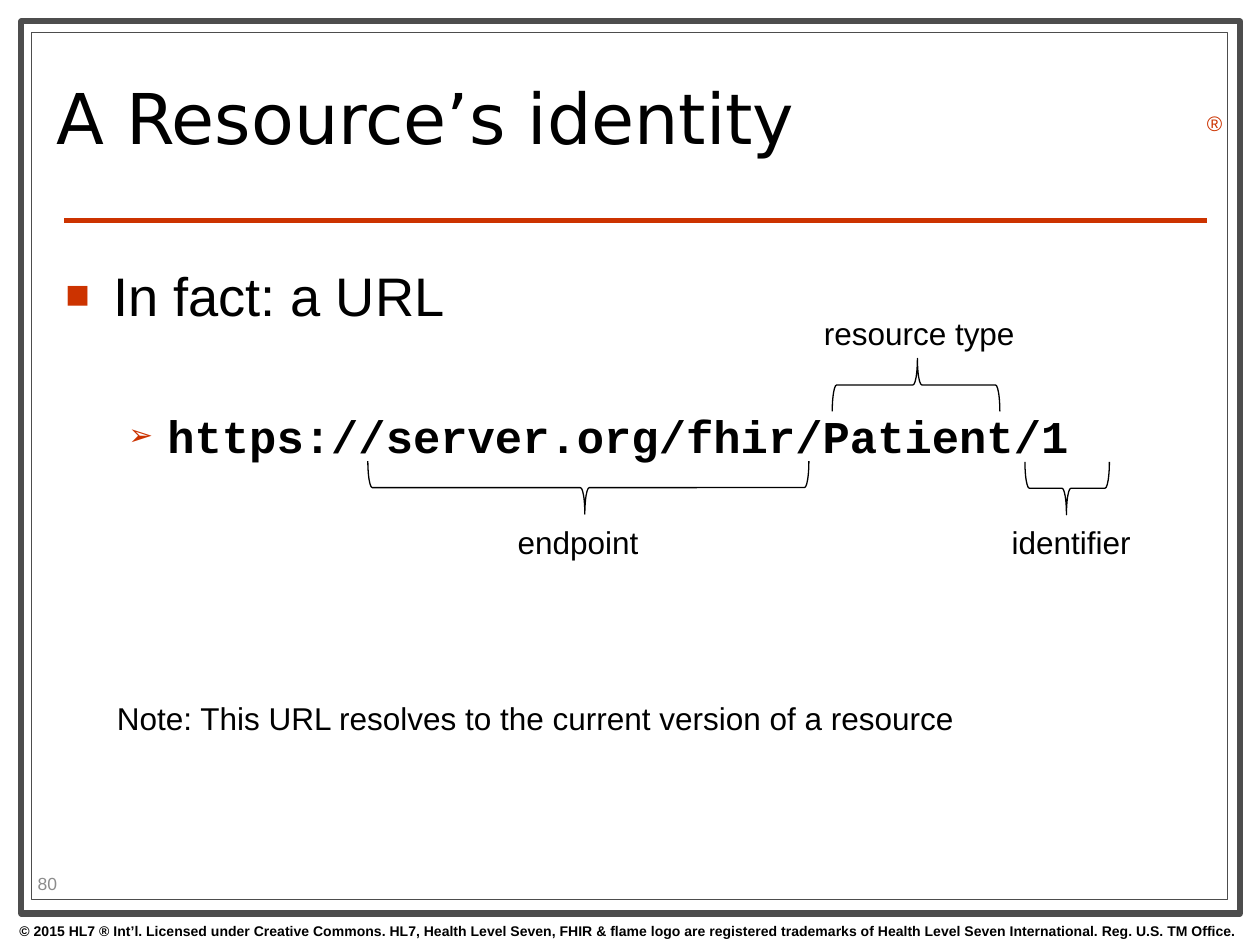
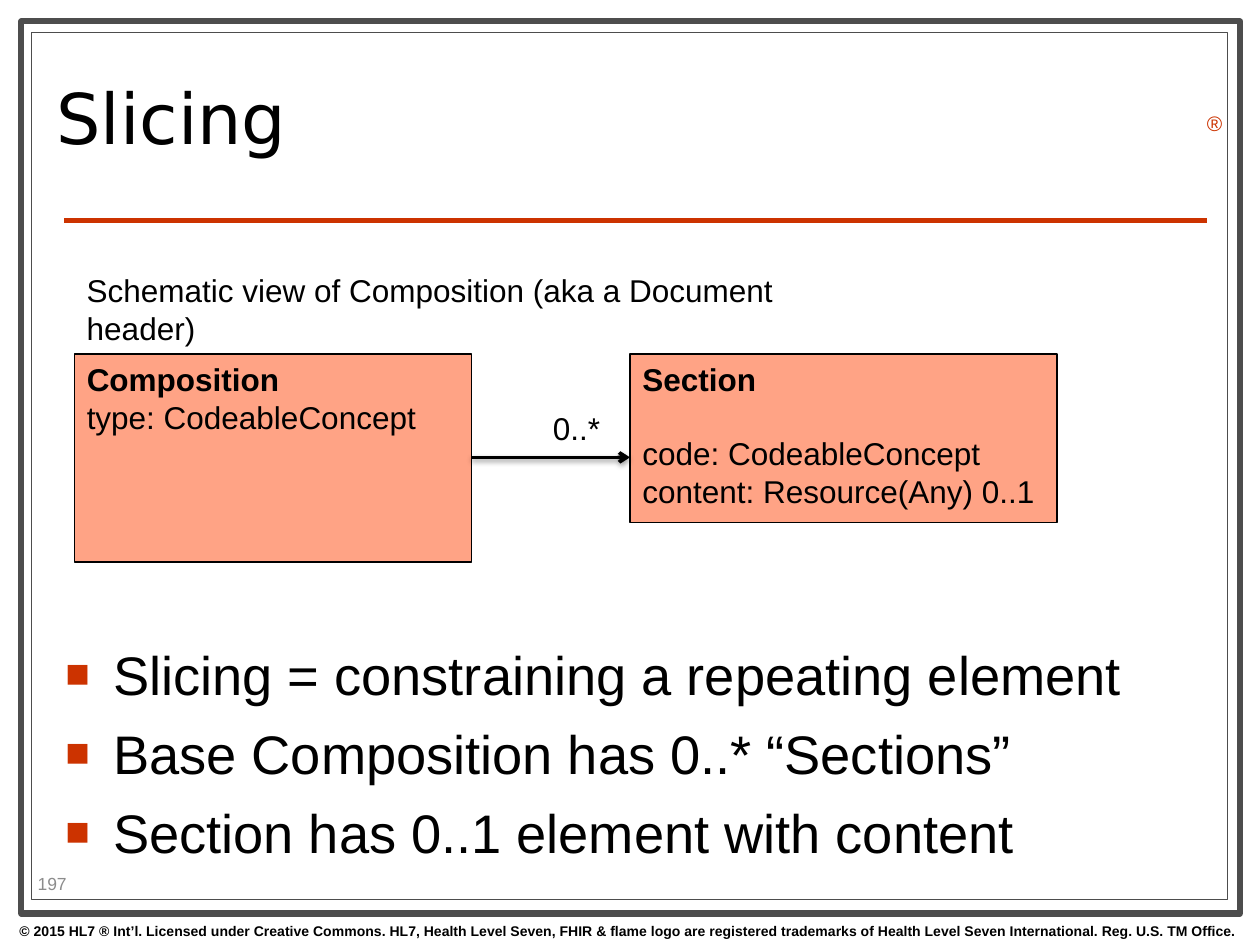
import pptx
import pptx.util
import pptx.dml.color
import pptx.enum.shapes
import pptx.enum.text
import pptx.oxml.ns
import lxml.etree

Inches, Pt = pptx.util.Inches, pptx.util.Pt
RGB = pptx.dml.color.RGBColor.from_string
KIND = pptx.enum.shapes.MSO_SHAPE
LINK = pptx.enum.shapes.MSO_CONNECTOR.STRAIGHT
MID = pptx.enum.text.MSO_ANCHOR.MIDDLE
TOP = pptx.enum.text.MSO_ANCHOR.TOP
LEFT = pptx.enum.text.PP_ALIGN.LEFT
CENTER = pptx.enum.text.PP_ALIGN.CENTER

HUES = {
    "ink": "000000",
    "red": "CC3300",
    "frame": "4D4D4D",
    "gray": "8C8C8C",
    "box": "FFA385",
    "white": "FFFFFF",
}
STYLES = {
    "title": {"name": "DejaVu Sans", "size": Pt(40)},
    "body": {"name": "Arial", "size": Pt(31)},
    "code": {"name": "Courier New", "size": Pt(26), "bold": True},
    "note": {"name": "Arial", "size": Pt(18)},
    "head": {"name": "Arial", "size": Pt(18), "bold": True},
    "legal": {"name": "Arial", "size": Pt(8), "bold": True},
    "mark": {"name": "Arial", "size": Pt(12)},
    "page": {"name": "Arial", "size": Pt(10)},
}
BULLETS = {
    "body": {"char": "■", "scale": 75000, "left": 0.38, "hang": 0.38},
    "code": {"char": "➢", "scale": 65000, "left": 0.81, "hang": 0.31},
}
LEGAL = (
    "© 2015 HL7 ® Int’l. Licensed under Creative Commons. HL7, Health Level Seven, "
    "FHIR & flame logo are registered trademarks of Health Level Seven International. "
    "Reg. U.S. TM Office."
)


def add(node, tag, **values):
    return lxml.etree.SubElement(node, pptx.oxml.ns.qn(tag), values)


def write(shape, lines, hue="ink", anchor=TOP, align=LEFT, wrap=True):
    frame = shape.text_frame
    for key, value in {"word_wrap": wrap, "vertical_anchor": anchor}.items():
        setattr(frame, key, value)
    for place, (text, style, gap) in enumerate(lines):
        para = frame.add_paragraph() if place else frame.paragraphs[0]
        para.alignment = align
        if gap:
            para.space_before = Pt(gap)
        if style == "title":
            para.line_spacing = 0.8
        if style in BULLETS:
            mark = BULLETS[style]
            props = para._p.get_or_add_pPr()
            props.set("marL", str(Inches(mark["left"])))
            props.set("indent", str(-Inches(mark["hang"])))
            add(add(props, "a:buClr"), "a:srgbClr", val=HUES["red"])
            add(props, "a:buSzPct", val=str(mark["scale"]))
            add(props, "a:buFont", typeface="Arial")
            add(props, "a:buChar", char=mark["char"])
        run = para.add_run()
        run.text = text
        for key, value in STYLES[style].items():
            setattr(run.font, key, value)
        run.font.color.rgb = RGB(HUES[hue])


deck = pptx.Presentation()
deck.slide_width, deck.slide_height = Inches(10), Inches(7.5)

pages = [
    {
        "title": "A Resource’s identity",
        "page": "80",
        "body": (2.03, 5.03),
        "lines": [
            ("In fact: a URL", "body", 0),
            ("https://server.org/fhir/Patient/1", "code", 46),
        ],
        "labels": [
            ("endpoint", 4.01, 4.1, 1.17),
            ("resource type", 6.44, 2.44, 1.73),
            ("identifier", 7.93, 4.1, 1.16),
            ("Note: This URL resolves to the current version of a resource", 0.83, 5.5, 6.91),
        ],
        "braces": [(4.46, 2.12, 3.5, 270), (7.06, 2.39, 1.33, 90), (8.26, 3.54, 0.67, 270)],
        "boxes": [],
        "arrows": [],
    },
    {
        "title": "Slicing",
        "page": "197",
        "body": (5.04, 1.65),
        "lines": [
            ("Slicing = constraining a repeating element", "body", 0),
            ("Base Composition has 0..* “Sections”", "body", 7.8),
            ("Section has 0..1 element with content", "body", 7.8),
        ],
        "labels": [
            ("0..*", 4.29, 3.2, 0.58),
            ("Schematic view of Composition (aka a Document header)", 0.59, 2.1, 6.57),
        ],
        "braces": [],
        "boxes": [
            (0.59, 3.15, 1.65, [
                ("Composition", "head", 0),
                ("type: CodeableConcept", "note", 0),
            ]),
            (5, 3.39, 1.34, [
                ("Section", "head", 0),
                ("code: CodeableConcept", "note", 20.7),
                ("content: Resource(Any) 0..1", "note", 0),
            ]),
        ],
        "arrows": [(3.74, 5, 3.63)],
    },
]

for page in pages:
    slide = deck.slides.add_slide(deck.slide_layouts[6])
    shapes = slide.shapes

    for left, top, width, height, weight in [
        (0.17, 0.17, 9.67, 7.08, 3.5),
        (0.25, 0.26, 9.49, 6.88, 0.75),
    ]:
        edge = shapes.add_shape(
            KIND.RECTANGLE, Inches(left), Inches(top), Inches(width), Inches(height)
        )
        edge.shadow.inherit = False
        edge.fill.solid()
        edge.fill.fore_color.rgb = RGB(HUES["white"])
        edge.line.color.rgb = RGB(HUES["frame"])
        edge.line.width = Pt(weight)

    rule = shapes.add_connector(LINK, Inches(0.51), Inches(1.75), Inches(9.58), Inches(1.75))
    rule.line.color.rgb = RGB(HUES["red"])
    rule.line.width = Pt(3)
    add(rule._element.spPr, "a:effectLst")

    top, height = page["body"]
    texts = [
        ((-0.01, 7.27, 10, 0.23), [(LEGAL, "legal", 0)], {"align": CENTER}),
        ((9.48, 0.83, 0.31, 0.3), [("®", "mark", 0)], {"hue": "red"}),
        ((0.35, 0.36, 7.17, 1.26), [(page["title"], "title", 0)], {"anchor": MID}),
        ((0.42, top, 9.17, height), page["lines"], {}),
        ((0.2, 6.89, 0.79, 0.24), [(page["page"], "page", 0)], {"hue": "gray", "anchor": MID}),
    ]
    for text, left, top, width in page["labels"]:
        texts.append(((left, top, width, 0.4), [(text, "note", 0)], {"wrap": False}))
    for place, lines, looks in texts:
        write(shapes.add_textbox(*map(Inches, place)), lines, **looks)

    for left, top, span, turn in page["braces"]:
        brace = shapes.add_shape(
            KIND.LEFT_BRACE, Inches(left), Inches(top), Inches(0.42), Inches(span)
        )
        brace.rotation = turn
        brace.adjustments[0] = 0.083
        brace.adjustments[1] = 0.492
        brace.shadow.inherit = False
        brace.fill.background()
        brace.line.color.rgb = RGB(HUES["ink"])
        brace.line.width = Pt(0.75)

    for left, width, height, lines in page["boxes"]:
        box = shapes.add_shape(
            KIND.RECTANGLE, Inches(left), Inches(2.81), Inches(width), Inches(height)
        )
        box.shadow.inherit = False
        box.fill.solid()
        box.fill.fore_color.rgb = RGB(HUES["box"])
        box.line.color.rgb = RGB(HUES["ink"])
        box.line.width = Pt(0.75)
        write(box, lines)

    for start, end, level in page["arrows"]:
        arrow = shapes.add_connector(
            LINK, Inches(start), Inches(level), Inches(end), Inches(level)
        )
        arrow.line.color.rgb = RGB(HUES["ink"])
        arrow.line.width = Pt(2)
        add(arrow.line._get_or_add_ln(), "a:tailEnd", type="arrow")
        shade = add(
            add(arrow._element.spPr, "a:effectLst"), "a:outerShdw",
            blurRad=str(Pt(3.1)), dist=str(Pt(1.6)), dir="5400000", rotWithShape="0",
        )
        add(add(shade, "a:srgbClr", val=HUES["ink"]), "a:alpha", val="38000")

deck.save("out.pptx")
